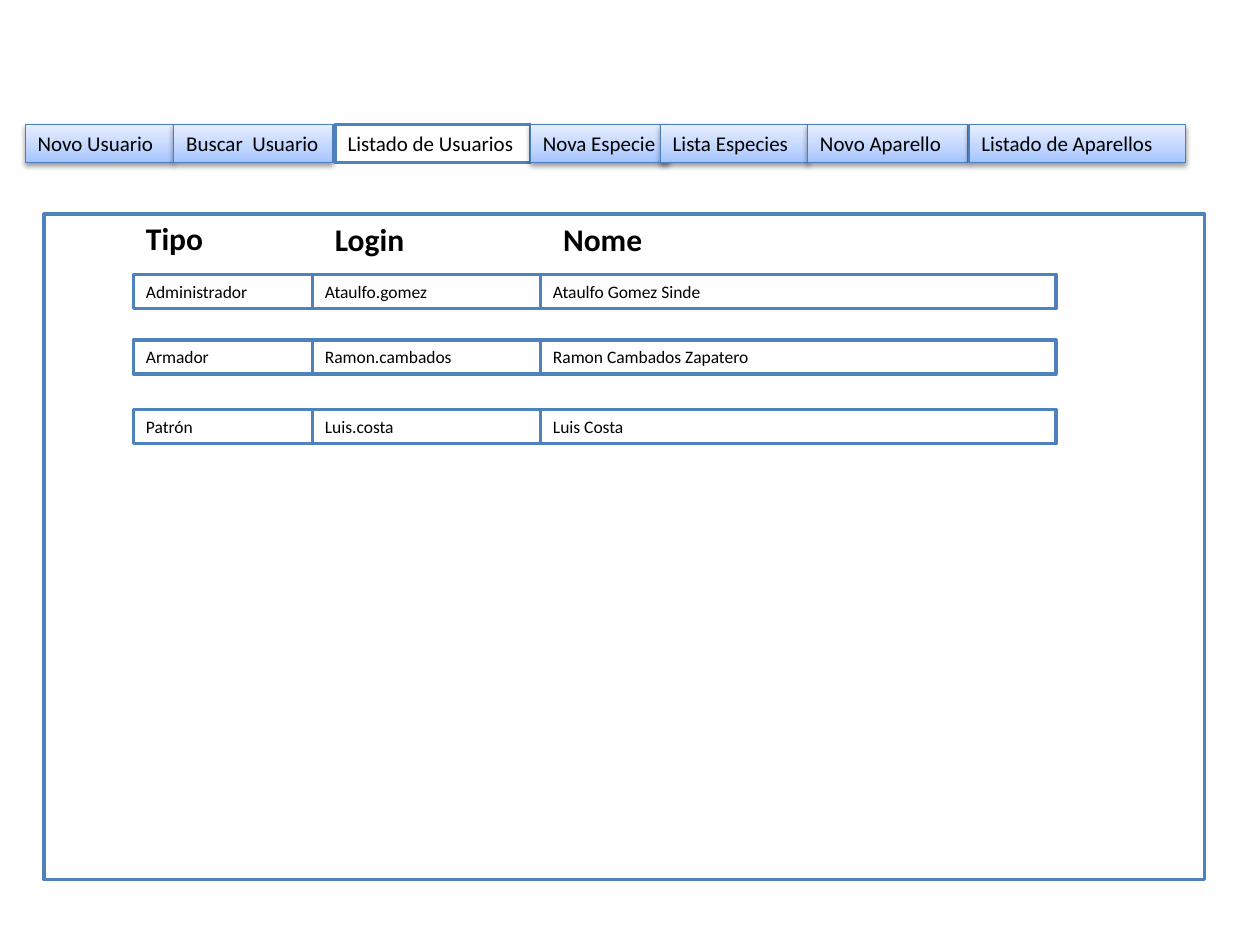
from lxml.etree import SubElement
from pptx import Presentation
from pptx.dml.color import RGBColor
from pptx.enum.shapes import MSO_SHAPE
from pptx.enum.text import MSO_ANCHOR, MSO_AUTO_SIZE, PP_ALIGN
from pptx.oxml import parse_xml
from pptx.oxml.ns import nsdecls, qn
from pptx.util import Inches, Pt

BLACK = RGBColor(0x00, 0x00, 0x00)
WHITE = RGBColor(0xFF, 0xFF, 0xFF)
BLUE = RGBColor(0x4F, 0x81, 0xBD)
TAB_EDGE = RGBColor(0x4B, 0x7E, 0xBC)
TAB_STOPS = [
    (0, RGBColor(0xA4, 0xC4, 0xFF)),
    (35, RGBColor(0xBF, 0xD4, 0xFF)),
    (100, RGBColor(0xE6, 0xEE, 0xFF)),
]

# Grid of 100 columns by 75 rows
TABS = [  # label, left column, width
    ("Novo Usuario", 2, 11.8),
    ("Buscar  Usuario", 13.8, 12.6),
    ("Listado de Usuarios", 26.6, 15.5),
    ("Nova Especie", 42.1, 11),
    ("Lista Especies", 52.4, 11.8),
    ("Novo Aparello", 64.1, 12.7),
    ("Listado de Aparellos", 76.9, 17.2),
]
ACTIVE_TAB = "Listado de Usuarios"
FIELDS = [  # heading, heading left, heading top, cell left, cell width
    ("Tipo", 10.6, 16.9, 10.6, 14.2),
    ("Login", 25.6, 17, 24.8, 18.1),
    ("Nome", 43.7, 17, 42.9, 40.9),
]
USERS = [  # top row, values
    (21.8, ("Administrador", "Ataulfo.gomez", "Ataulfo Gomez Sinde")),
    (27, ("Armador", "Ramon.cambados", "Ramon Cambados Zapatero")),
    (32.5, ("Patrón", "Luis.costa", "Luis Costa")),
]


class Screen:
    font_name = "Calibri"

    def __init__(self, presentation):
        self.column = presentation.slide_width / 100
        self.row = presentation.slide_height / 75
        self.slide = presentation.slides.add_slide(presentation.slide_layouts[6])

    def place(self, left, top, width, height):
        return (round(left * self.column), round(top * self.row),
                round(width * self.column), round(height * self.row))

    def set_text(self, shape, text, size, bold=False):
        frame = shape.text_frame
        frame.word_wrap = True
        frame.auto_size = MSO_AUTO_SIZE.SHAPE_TO_FIT_TEXT
        frame.vertical_anchor = MSO_ANCHOR.TOP
        frame.margin_right = 0
        paragraph = frame.paragraphs[0]
        paragraph.text = text
        paragraph.alignment = PP_ALIGN.LEFT
        font = paragraph.font
        font.name, font.size, font.bold = self.font_name, Pt(size), bold
        font.color.rgb = BLACK

    def box(self, left, top, width, height, text="", size=10):
        """Add a white box with a blue outline."""
        shape = self.slide.shapes.add_shape(
            MSO_SHAPE.RECTANGLE, *self.place(left, top, width, height))
        shape.shadow.inherit = False
        shape.fill.solid()
        shape.fill.fore_color.rgb = WHITE
        shape.line.color.rgb = BLUE
        shape.line.width = Pt(2)
        if text:
            self.set_text(shape, text, size)
        return shape

    def tab(self, text, left, width, active):
        shape = self.box(left, 9.9, width, 3, text, 12)
        if not active:
            shape.line.color.rgb = TAB_EDGE
            shape.line.width = Pt(0.75)
            self.shade(shape)
            self.cast_shadow(shape)

    def shade(self, shape):
        """Fill with the three-stop tab gradient, running upwards."""
        shape.fill.gradient()
        shape.fill.gradient_angle = 90
        stops = shape.element.spPr.find(f".//{qn('a:gsLst')}")
        for stop in list(stops):
            stops.remove(stop)
        for position, color in TAB_STOPS:
            stop = SubElement(stops, qn("a:gs"), pos=str(position * 1000))
            SubElement(stop, qn("a:srgbClr"), val=str(color))

    def cast_shadow(self, shape):
        effects = shape.element.spPr.find(qn("a:effectLst"))
        effects.append(parse_xml(
            f'<a:outerShdw {nsdecls("a")} blurRad="{Pt(3.1)}" dist="{Pt(1.6)}" '
            'dir="5400000" rotWithShape="0"><a:srgbClr val="000000">'
            '<a:alpha val="38000"/></a:srgbClr></a:outerShdw>'))

    def heading(self, text, left, top):
        label = self.slide.shapes.add_textbox(*self.place(left, top, 14.2, 4))
        self.set_text(label, text, 18, bold=True)


def main():
    presentation = Presentation()
    presentation.slide_width = Inches(10)
    presentation.slide_height = Inches(7.5)
    screen = Screen(presentation)

    screen.box(3.5, 17, 92.1, 52.8)
    for label, left, width in TABS:
        screen.tab(label, left, width, active=label == ACTIVE_TAB)
    for name, left, top, _, _ in FIELDS:
        screen.heading(name, left, top)
    for top, values in USERS:
        for value, (_, _, _, left, width) in zip(values, FIELDS):
            screen.box(left, top, width, 2.7, value)

    presentation.save("out.pptx")


if __name__ == "__main__":
    main()
